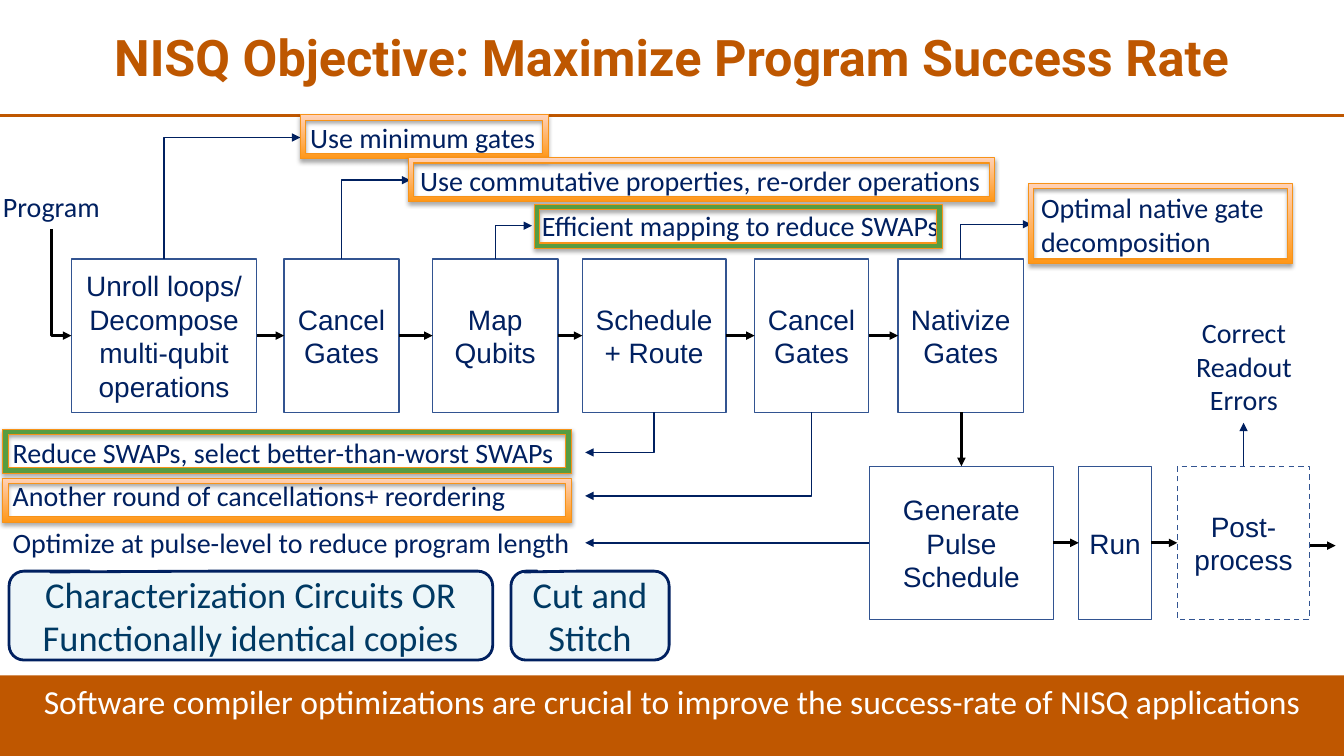
from lxml import etree
from pptx import Presentation
from pptx.dml.color import RGBColor
from pptx.enum.dml import MSO_LINE
from pptx.enum.shapes import MSO_CONNECTOR, MSO_SHAPE
from pptx.enum.text import MSO_ANCHOR, PP_ALIGN
from pptx.oxml.ns import qn
from pptx.util import Pt

RECT, FRAME = MSO_SHAPE.RECTANGLE, MSO_SHAPE.FRAME
CALLOUT = MSO_SHAPE.ROUNDED_RECTANGULAR_CALLOUT
STRAIGHT, ELBOW = MSO_CONNECTOR.STRAIGHT, MSO_CONNECTOR.ELBOW
LEFT, CENTER = PP_ALIGN.LEFT, PP_ALIGN.CENTER
TOP, MIDDLE = MSO_ANCHOR.TOP, MSO_ANCHOR.MIDDLE
DASH = MSO_LINE.DASH

COLORS = {
    "title": "BE5700", "burnt": "BF5700", "white": "FFFFFF", "black": "000000",
    "navy": "002060", "box_line": "325491", "callout": "EDF6F9",
    "callout_text": "003963", "green": "579C41", "frame_line": "F79319",
    "orange": "FF9717", "peach": "FFD2B9",
}

STAGE_HEIGHT = 109.5
COMPILE_STAGES = [  # text, left, width
    ("Unroll loops/ Decompose multi-qubit operations", 0, 132.5),
    ("Cancel\nGates", 152, 82),
    ("Map\nQubits", 258, 89.5),
    ("Schedule + Route", 365, 102.5),
    ("Cancel\nGates", 488, 81.5),
    ("Nativize\nGates", 590.5, 89.5),
]
RUN_STAGES = [
    ("Generate Pulse Schedule", 0, 131.5),
    ("Run", 149.5, 52),
    ("Post-process", 220, 94.5),
]
UPPER_NOTES = [  # text, stage, text box, wrap, frame box, frame colour
    ("Use minimum gates", 0, (214.5, 0, 177, 31.5), False,
     (214.5, -0.5, 177, 31.5), "orange"),
    ("Use commutative properties, re-order operations", 1,
     (293, 30.5, 419, 31.5), False, (291.5, 30, 419, 31.5), "orange"),
    ("Efficient mapping to reduce SWAPs", 2, (380, 63, 301, 31.5), False,
     (381.5, 63.5, 291.5, 31.5), "green"),
    ("Optimal native gate decomposition", 5, (736.5, 50, 209, 55.5), True,
     (735, 48.5, 188, 57.5), "orange"),
]
LOWER_NOTES = [
    ("Reduce SWAPs, select better-than-worst SWAPs", 3, (0, 0, 416, 31.5), True,
     (0, -1, 406, 31.5), "green"),
    ("Another round of cancellations+ reordering", 4, (0, 31, 416, 31.5), True,
     (0, 34, 406, 31.5), "orange"),
    ("Optimize at pulse-level to reduce program length", 6,
     (0, 64.5, 416, 31.5), False, None, None),
]


def rgb(name):
    return RGBColor.from_string(COLORS[name])


def write(sp, text, size, color, font="Calibri", align=CENTER, anchor=MIDDLE,
          wrap=True, bold=False, spacing=None):
    tf = sp.text_frame
    tf.word_wrap = wrap
    tf.vertical_anchor = anchor
    for i, line in enumerate(text.split("\n")):
        p = tf.paragraphs[0] if i == 0 else tf.add_paragraph()
        p.alignment = align
        if spacing:
            p.line_spacing = spacing
        r = p.add_run()
        r.text = line
        r.font.size, r.font.name, r.font.bold = Pt(size), font, bold
        r.font.color.rgb = rgb(color)


def add_text(s, box, text, size, color, **style):
    sp = s.shapes.add_textbox(*map(Pt, box))
    write(sp, text, size, color, **style)


def add_box(s, kind, box, fill, line=None, width=1):
    sp = s.shapes.add_shape(kind, *map(Pt, box))
    sp.shadow.inherit = False
    sp.fill.solid()
    sp.fill.fore_color.rgb = rgb(fill)
    if line:
        sp.line.color.rgb = rgb(line)
        sp.line.width = Pt(width)
    else:
        sp.line.fill.background()
    return sp


def add_line(s, start, end, color, width, kind=STRAIGHT, arrow=True):
    c = s.shapes.add_connector(kind, *map(Pt, start + end))
    c.line.color.rgb = rgb(color)
    c.line.width = Pt(width)
    if arrow:
        etree.SubElement(c.line._get_or_add_ln(), qn("a:tailEnd"), type="triangle")
    etree.SubElement(c._element.spPr, qn("a:effectLst"))
    return c


def add_bend(s, start, end, color, width):
    """Arrow that runs vertically first and then horizontally."""
    (x1, y1), (x2, y2) = start, end
    if y1 == y2:
        add_line(s, start, end, color, width)
        return
    cx, cy, dx, dy = (x1 + x2) / 2, (y1 + y2) / 2, (x2 - x1) / 2, (y2 - y1) / 2
    c = add_line(s, (cx - dy, cy + dx), (cx + dy, cy - dx), color, width, ELBOW)
    pr = c._element.spPr
    pr.find(qn("a:prstGeom")).set("prst", "bentConnector2")
    pr.find(qn("a:xfrm")).set("rot", str(90 * 60000))


def add_frame(s, box, color):
    sp = add_box(s, FRAME, box, color, "frame_line", 0.75)
    if box[3] > 40:
        sp.adjustments[0] = 0.06
    if color == "orange":
        sp.fill.gradient()
        sp.fill.gradient_angle = 90
        for stop, name, pos in zip(sp.fill.gradient_stops, ("orange", "peach"), (0, 1)):
            stop.color.rgb = rgb(name)
            stop.position = pos
    effects = sp._element.spPr.find(qn("a:effectLst"))
    shadow = etree.SubElement(effects, qn("a:outerShdw"), blurRad=str(Pt(3.1)),
                              dist=str(Pt(1.8)), dir=str(90 * 60000), rotWithShape="0")
    clr = etree.SubElement(shadow, qn("a:srgbClr"), val=COLORS["black"])
    etree.SubElement(clr, qn("a:alpha"), val="35000")


def header(s, left, top, width, height):
    add_text(s, (left + 6.5, top + 3, width - 13, height - 3),
             "NISQ Objective: Maximize Program Success Rate", 36, "title",
             font="Roboto", bold=True, spacing=0.9)
    add_line(s, (left, top + height), (left + width, top + height), "burnt", 1.5,
             arrow=False)


def footer(s, box):
    sp = add_box(s, RECT, box, "burnt")
    write(sp, "Software compiler optimizations are crucial to improve the "
          "success-rate of NISQ applications", 24, "white", anchor=TOP)


def stage_row(s, left, top, stages):
    """Draw a chain of stages and return their boxes."""
    boxes = [(left + x, top, w, STAGE_HEIGHT) for _, x, w in stages]
    for (text, _, _), box in zip(stages, boxes):
        sp = add_box(s, RECT, box, "white", "box_line")
        if text == "Post-process":
            sp.line.dash_style = DASH
        write(sp, text, 20, "navy", font="Arial")
    mid = top + STAGE_HEIGHT / 2
    for a, b in zip(boxes, boxes[1:]):
        add_line(s, (a[0] + a[2], mid), (b[0], mid), "black", 2)
    return boxes


def entry_and_exit(s, first, nativize, generate, post):
    x, y, _, h = first
    add_text(s, (x - 56, y - 53, 84, 31.5), "Program", 20, "navy", align=LEFT,
             anchor=TOP, wrap=False)
    add_bend(s, (x - 14.25, y - 21.5), (x, y + h / 2), "black", 2)
    mid = generate[0] + generate[2] / 2
    add_line(s, (mid, nativize[1] + h), (mid, generate[1]), "black", 2)
    x, y, w, h = post
    add_line(s, (x + w, y + h / 2 + 2), (x + w + 18.5, y + h / 2 + 2), "black", 2)
    add_text(s, (x - 1.5, y - 111, 98, 80), "Correct Readout Errors", 20, "navy",
             anchor=TOP)
    add_line(s, (x + w / 2, y), (x + w / 2, y - 31), "navy", 1)


def note_group(s, left, top, notes, stages, above):
    for text, stage, (x, y, w, h), wrap, frame, color in notes:
        add_text(s, (left + x, top + y, w, h), text, 20, "navy", align=LEFT,
                 anchor=TOP, wrap=wrap)
        sx, sy, sw, sh = stages[stage]
        mid = top + y + h / 2
        if above:
            start, end = (sx + sw / 2, sy), (left + x, mid)
        elif sy < mid < sy + sh:
            start, end = (sx, mid), (left + x + w, mid)
        else:
            start, end = (sx + sw / 2, sy + sh), (left + x + w, mid)
        add_bend(s, start, end, "navy", 1)
        if frame:
            fx, fy, fw, fh = frame
            add_frame(s, (left + fx, top + fy, fw, fh), color)


def callouts(s, left, top, height):
    for text, x, w in (
            ("Characterization Circuits OR Functionally identical copies", 0, 345.5),
            ("Cut and Stitch", 358.5, 113)):
        sp = add_box(s, CALLOUT, (left + x, top, w, height), "callout", "navy", 2)
        for i, value in enumerate((-0.415, -0.491, 0.167)):
            sp.adjustments[i] = value
        write(sp, text, 26, "callout_text")


def main():
    prs = Presentation()
    prs.slide_width, prs.slide_height = Pt(960), Pt(540)
    s = prs.slides.add_slide(prs.slide_layouts[6])
    header(s, 0, 0, 960, 82.5)
    footer(s, (0, 482.5, 960, 57.5))
    stages = stage_row(s, 51, 185, COMPILE_STAGES)
    stages += stage_row(s, 621, 333, RUN_STAGES)
    entry_and_exit(s, stages[0], stages[5], stages[6], stages[8])
    note_group(s, 0, 82.5, UPPER_NOTES, stages, above=True)
    note_group(s, 2, 307.5, LOWER_NOTES, stages, above=False)
    callouts(s, 6.5, 408, 63.5)
    prs.save("out.pptx")


if __name__ == "__main__":
    main()
